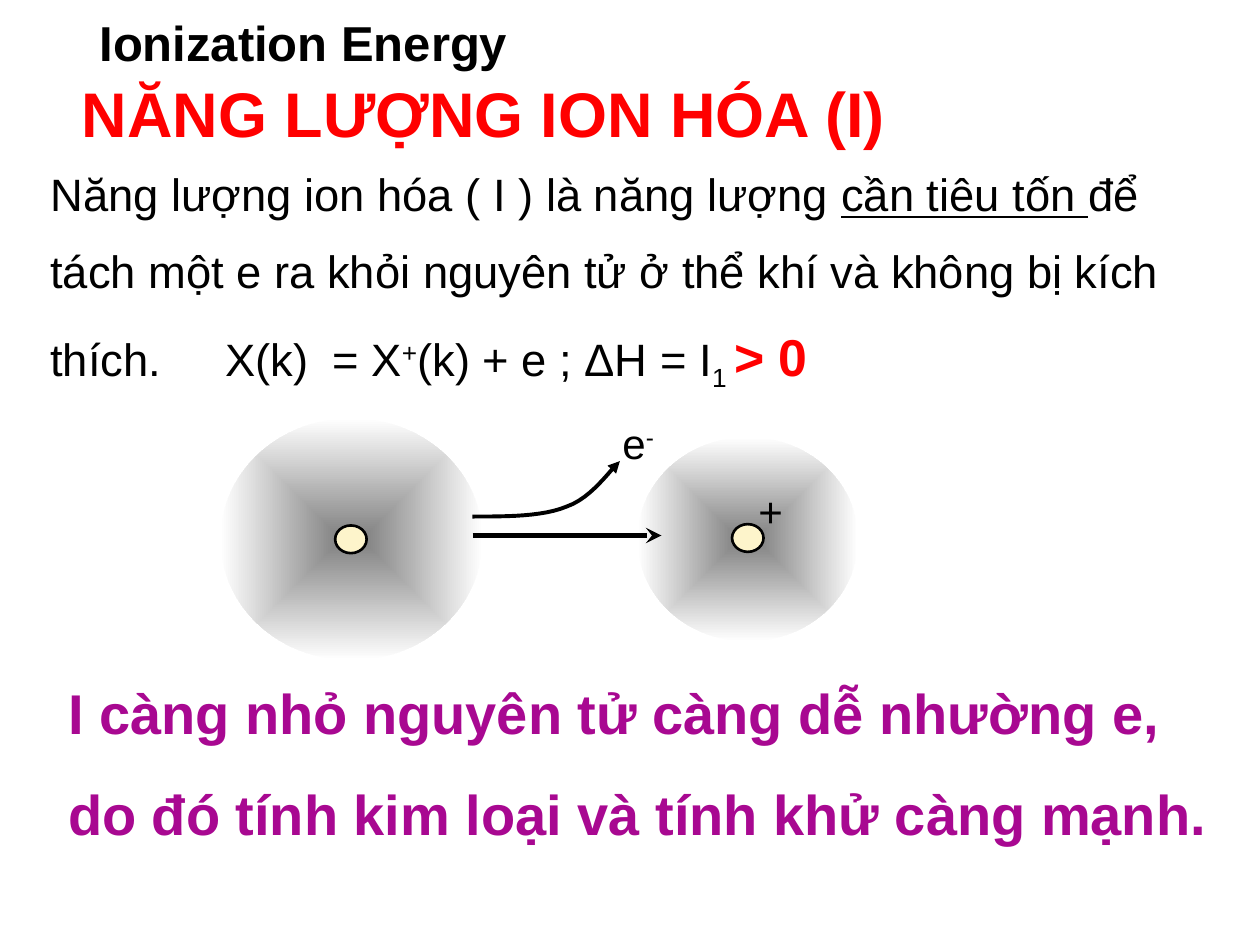
"""Build the slide on ionization energy."""
from lxml.etree import SubElement
from pptx import Presentation
from pptx.dml.color import RGBColor
from pptx.enum.shapes import MSO_CONNECTOR, MSO_SHAPE
from pptx.oxml.ns import qn
from pptx.util import Inches, Pt

COLORS = {"ink": "000000", "red": "FF0000", "purple": "A80891",
          "cloud": "808080", "edge": "FFFFFF", "nucleus": "FDF4CB"}

presentation = Presentation()
presentation.slide_width = Inches(10)
presentation.slide_height = Inches(7.5)
slide = presentation.slides.add_slide(presentation.slide_layouts[6])


def add_text(frame, runs, size=24, color="ink", bold=False, indent=0,
             spacing=None, before=0, tabs=()):
    frame.word_wrap = True
    frame.margin_left = frame.margin_right = frame.margin_top = frame.margin_bottom = 0
    paragraph = frame.add_paragraph() if frame.text else frame.paragraphs[0]
    paragraph.space_before = Pt(before)
    if spacing:
        paragraph.line_spacing = spacing
    properties = paragraph._p.get_or_add_pPr()
    properties.set("marL", str(Inches(indent)))
    if tabs:
        stops = SubElement(properties, qn("a:tabLst"))
        for position in tabs:
            SubElement(stops, qn("a:tab"), pos=str(Inches(position)), algn="l")
    for words, style in runs:
        run = paragraph.add_run()
        run.text = words
        run.font.name = "Arial"
        run.font.size = Pt(style.get("size", size))
        run.font.bold = style.get("bold", bold)
        run.font.underline = style.get("underline", False)
        run.font.color.rgb = RGBColor.from_string(COLORS[style.get("color", color)])
        if "baseline" in style:
            run._r.get_or_add_rPr().set("baseline", str(style["baseline"] * 1000))


def style_arrow(arrow, width, head):
    arrow.line.color.rgb = RGBColor.from_string(COLORS["ink"])
    arrow.line.width = Pt(width)
    SubElement(arrow.line._get_or_add_ln(), qn("a:tailEnd"), type=head)


heading = slide.shapes.add_textbox(Inches(0), Inches(0.1), Inches(9.4), Inches(1.1)).text_frame
add_text(heading, [("Ionization Energy", {})], size=28, bold=True, indent=0.79)
add_text(heading, [("NĂNG LƯỢNG ION HÓA (I)", {})], size=36, color="red",
         bold=True, indent=0.65, before=2)

definition = slide.shapes.add_textbox(Inches(0.4), Inches(1.15), Inches(9), Inches(2)).text_frame
add_text(definition, [
    ("Năng lượng ion hóa ( I ) là năng lượng ", {}),
    ("cần tiêu tốn ", {"underline": True}),
    ("để tách một e ra khỏi nguyên tử ở thể khí và không bị kích thích.\tX(k)\t= X", {}),
    ("+", {"baseline": 30}),
    ("(k) + e ; ΔH = I", {}),
    ("1 ", {"baseline": -25}),
    ("> 0", {"size": 29.6, "color": "red", "bold": True}),
], size=25.9, spacing=1.4, tabs=(1.39, 2.24))

conclusion = slide.shapes.add_textbox(Inches(0.54), Inches(5.12), Inches(9.3), Inches(2)).text_frame
add_text(conclusion, [("I càng nhỏ nguyên tử càng dễ nhường e, do đó tính kim loại "
                       "và tính khử càng mạnh.", {})],
         size=32, color="purple", bold=True, spacing=1.5)

for left, top, width, height, nucleus_left, nucleus_top in [
        (1.75, 3.32, 2.08, 1.92, 2.66, 4.17), (5.06, 3.47, 1.75, 1.62, 5.81, 4.16)]:
    cloud = slide.shapes.add_shape(MSO_SHAPE.OVAL, Inches(left), Inches(top),
                                   Inches(width), Inches(height))
    cloud.shadow.inherit = False
    cloud.line.fill.background()
    cloud.fill.gradient()
    for stop, name, position in zip(cloud.fill.gradient_stops, ("cloud", "edge"), (0, 1)):
        stop.color.rgb = RGBColor.from_string(COLORS[name])
        stop.position = position
    gradient = cloud._element.spPr.find(qn("a:gradFill"))
    gradient.remove(gradient.find(qn("a:lin")))
    center = SubElement(gradient, qn("a:path"))
    center.set("path", "rect")
    SubElement(center, qn("a:fillToRect"), l="50000", t="50000", r="50000", b="50000")

    nucleus = slide.shapes.add_shape(MSO_SHAPE.OVAL, Inches(nucleus_left), Inches(nucleus_top),
                                     Inches(0.25), Inches(0.22))
    nucleus.shadow.inherit = False
    nucleus.fill.solid()
    nucleus.fill.fore_color.rgb = RGBColor.from_string(COLORS["nucleus"])
    nucleus.line.color.rgb = RGBColor.from_string(COLORS["ink"])
    nucleus.line.width = Pt(1.5)

reaction = slide.shapes.add_connector(MSO_CONNECTOR.STRAIGHT, Inches(3.75), Inches(4.25),
                                      Inches(5.25), Inches(4.25))
style_arrow(reaction, 3, "stealth")
SubElement(reaction._element.spPr, qn("a:effectLst"))

curves = [((3.75, 4.1), (4.03, 4.1), (4.31, 4.1), (4.5, 4.02)),
          ((4.5, 4.02), (4.7, 3.95), (4.85, 3.72), (4.92, 3.66))]
STEPS = 12
escape_points = []
for curve in curves:
    for step in range(1, STEPS + 1):
        t = step / STEPS
        weights = ((1 - t) ** 3, 3 * t * (1 - t) ** 2, 3 * t ** 2 * (1 - t), t ** 3)
        escape_points.append(tuple(
            Inches(sum(weight * value for weight, value in zip(weights, axis)))
            for axis in zip(*curve)))
outline = slide.shapes.build_freeform(Inches(3.75), Inches(4.1))
outline.add_line_segments(escape_points, close=False)
escape = outline.convert_to_shape()
escape.shadow.inherit = False
escape.fill.background()
style_arrow(escape, 2.25, "triangle")

for left, top, runs in [(4.94, 3.31, [("e", {}), ("-", {"baseline": 30})]),
                        (6.02, 3.85, [("+", {})])]:
    label = slide.shapes.add_textbox(Inches(left), Inches(top), Inches(0.5), Inches(0.4))
    add_text(label.text_frame, runs)

presentation.save("out.pptx")
